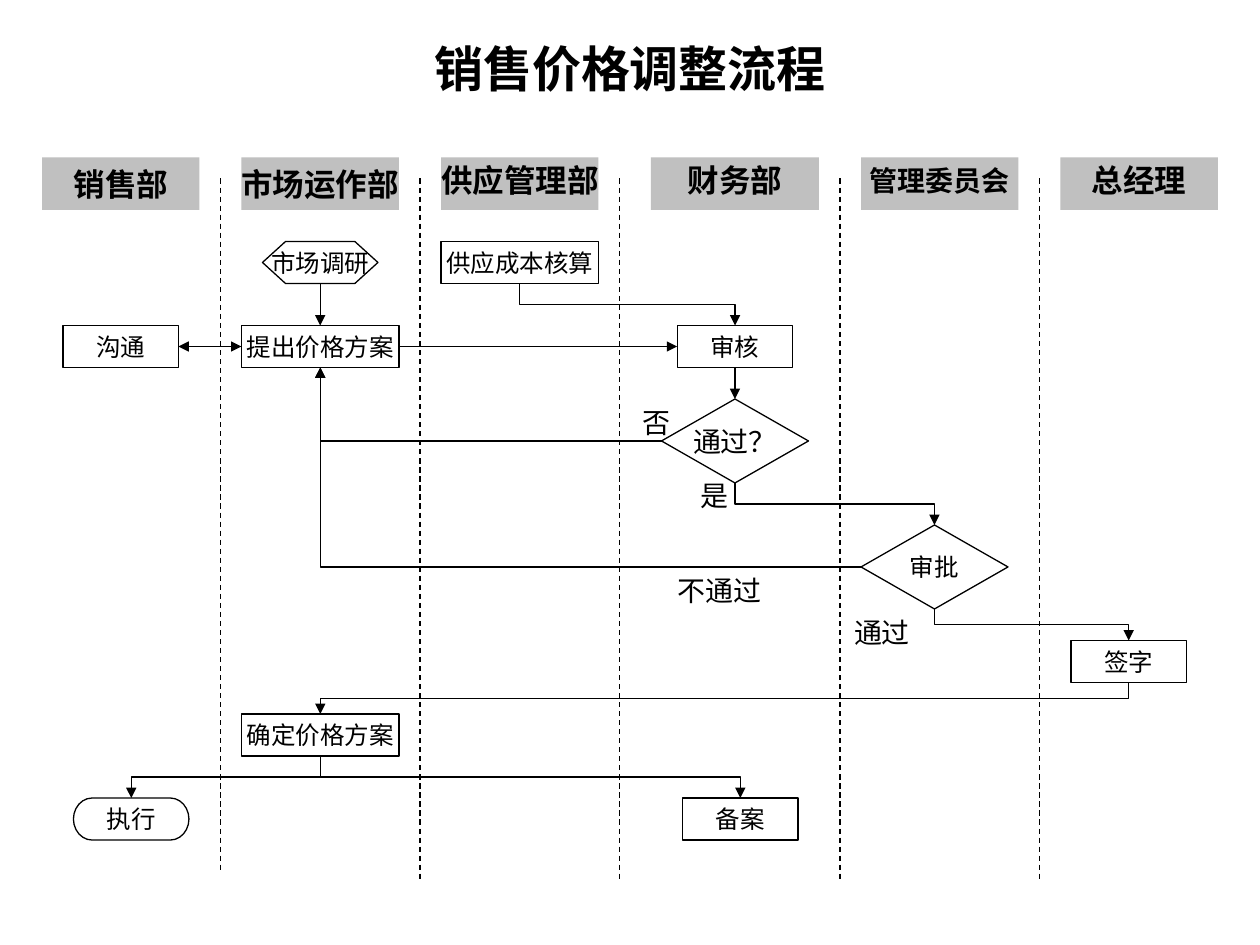
from dataclasses import dataclass

from lxml import etree
from pptx import Presentation
from pptx.dml.color import RGBColor
from pptx.enum.dml import MSO_LINE
from pptx.enum.shapes import MSO_CONNECTOR, MSO_SHAPE
from pptx.enum.text import MSO_ANCHOR, MSO_AUTO_SIZE, PP_ALIGN
from pptx.oxml.ns import qn
from pptx.util import Pt

RECTANGLE = MSO_SHAPE.RECTANGLE
DIAMOND = MSO_SHAPE.DIAMOND
PREPARATION = MSO_SHAPE.FLOWCHART_PREPARATION
TERMINATOR = MSO_SHAPE.FLOWCHART_TERMINATOR
STRAIGHT = MSO_CONNECTOR.STRAIGHT
ELBOW = MSO_CONNECTOR.ELBOW
DASH = MSO_LINE.DASH
MIDDLE = MSO_ANCHOR.MIDDLE
CENTER = PP_ALIGN.CENTER
FIT_SHAPE = MSO_AUTO_SIZE.SHAPE_TO_FIT_TEXT

COLORS = {"ink": "000000", "node": "FFFFFF", "header": "C0C0C0"}
FONT = "Times New Roman"
LINE_WIDTH = 0.75
HEADER_TOP, HEADER_HEIGHT = 90, 30
DIVIDER_TOP = 102


@dataclass(frozen=True)
class Header:
    text: str
    left: float
    width: float = 90
    size: float = 18
    spacing: float = 0.8


@dataclass(frozen=True)
class Node:
    text: str
    left: float
    top: float
    width: float = 66
    height: float = 24
    kind: MSO_SHAPE = RECTANGLE
    size: float = 14

    @property
    def right(self) -> float:
        return self.left + self.width

    @property
    def bottom(self) -> float:
        return self.top + self.height

    @property
    def center_x(self) -> float:
        return self.left + self.width / 2

    @property
    def center_y(self) -> float:
        return self.top + self.height / 2


@dataclass(frozen=True)
class Label:
    text: str
    left: float
    top: float
    width: float


HEADERS = [
    Header("销售部", 24, spacing=1),
    Header("市场运作部", 138, spacing=1),
    Header("供应管理部", 252),
    Header("财务部", 372, width=96),
    Header("管理委员会", 492, size=16),
    Header("总经理", 606),
]
DIVIDERS = {126: 498, 240: 504, 354: 504, 480: 504, 594: 504}

research = Node("市场调研", 150, 138, kind=PREPARATION)
costing = Node("供应成本核算", 252, 138, 90)
discuss = Node("沟通", 36, 186)
propose = Node("提出价格方案", 138, 186, 90)
review = Node("审核", 387, 186)
decision = Node("通过？", 378, 228, 84, 48, DIAMOND, 16)
approval = Node("审批", 492, 300, 84, 48, DIAMOND)
signature = Node("签字", 612, 366)
confirm = Node("确定价格方案", 138, 408, 90)
execute = Node("执行", 42, 456, kind=TERMINATOR)
archive = Node("备案", 390, 456)
NODES = [research, costing, discuss, propose, review, decision,
         approval, signature, confirm, execute, archive]

DROPS = [(research, propose), (costing, review), (review, decision),
         (decision, approval), (approval, signature), (signature, confirm),
         (confirm, execute), (confirm, archive)]
SIDE_LINKS = [(discuss, propose), (propose, review)]
RETURNS = [(decision, propose), (approval, propose)]
LABELS = [
    Label("否", 336, 228, 78),
    Label("是", 384, 270, 48),
    Label("通过", 480, 348, 48),
    Label("不通过", 372, 324, 78),
]


def color(name: str) -> RGBColor:
    return RGBColor.from_string(COLORS[name])


def write(shape, text: str, size: float, bold: bool = False, spacing: float = 1) -> None:
    frame = shape.text_frame
    frame.text = text
    para = frame.paragraphs[0]
    para.alignment = CENTER
    para.line_spacing = spacing
    for span in para.runs:
        span.font.name = FONT
        span.font.size = Pt(size)
        span.font.bold = bold
        span.font.color.rgb = color("ink")


def add_box(page, kind: MSO_SHAPE, left: float, top: float, width: float,
            height: float, fill: str, outlined: bool):
    box = page.shapes.add_shape(kind, Pt(left), Pt(top), Pt(width), Pt(height))
    box.shadow.inherit = False
    box.fill.solid()
    box.fill.fore_color.rgb = color(fill)
    if outlined:
        box.line.color.rgb = color("ink")
        box.line.width = Pt(LINE_WIDTH)
    else:
        box.line.fill.background()
    box.text_frame.word_wrap = False
    box.text_frame.vertical_anchor = MIDDLE
    return box


def add_text(page, label: Label, height: float, size: float, bold: bool = False):
    box = page.shapes.add_textbox(Pt(label.left), Pt(label.top), Pt(label.width), Pt(height))
    box.text_frame.word_wrap = True
    write(box, label.text, size, bold)
    return box


def add_line(page, kind: MSO_CONNECTOR, x1: float, y1: float, x2: float, y2: float,
             arrows: tuple[str, ...] = ()):
    line = page.shapes.add_connector(kind, Pt(x1), Pt(y1), Pt(x2), Pt(y2))
    line.line.color.rgb = color("ink")
    line.line.width = Pt(LINE_WIDTH)
    properties = line._element.spPr
    for end in arrows:
        etree.SubElement(properties.find(qn("a:ln")), qn(f"a:{end}"), type="triangle")
    etree.SubElement(properties, qn("a:effectLst"))
    return line


def add_drop(page, source: Node, target: Node) -> None:
    x1, y1, x2, y2 = source.center_x, source.bottom, target.center_x, target.top
    if x1 == x2:
        add_line(page, STRAIGHT, x1, y1, x2, y2, ("tailEnd",))
        return
    middle_x, middle_y = (x1 + x2) / 2, (y1 + y2) / 2
    half_run, half_fall = abs(x2 - x1) / 2, (y2 - y1) / 2
    line = add_line(page, ELBOW, middle_x - half_fall, middle_y - half_run,
                    middle_x + half_fall, middle_y + half_run, ("tailEnd",))
    transform = line._element.spPr.find(qn("a:xfrm"))
    if x2 > x1:
        transform.set("rot", "16200000")
        transform.set("flipH", "1")
    else:
        transform.set("rot", "5400000")


def add_return(page, source: Node, target: Node) -> None:
    line = add_line(page, ELBOW, target.center_x, target.bottom,
                    source.left, source.center_y, ("tailEnd",))
    properties = line._element.spPr
    properties.find(qn("a:xfrm")).set("rot", "10800000")
    properties.find(qn("a:prstGeom")).set("prst", "bentConnector2")


def main() -> None:
    deck = Presentation()
    deck.slide_width, deck.slide_height = Pt(720), Pt(540)
    page = deck.slides.add_slide(deck.slide_layouts[6])

    title = add_text(page, Label("销售价格调整流程", 54, 18, 612), 42, 28, True)
    title.text_frame.vertical_anchor = MIDDLE

    for header in HEADERS:
        box = add_box(page, RECTANGLE, header.left, HEADER_TOP, header.width,
                      HEADER_HEIGHT, "header", False)
        write(box, header.text, header.size, True, header.spacing)
    for x, bottom in DIVIDERS.items():
        add_line(page, STRAIGHT, x, DIVIDER_TOP, x, bottom).line.dash_style = DASH

    for source, target in DROPS:
        add_drop(page, source, target)
    for source, target in SIDE_LINKS:
        arrows = ("headEnd", "tailEnd") if source is discuss else ("tailEnd",)
        add_line(page, STRAIGHT, source.right, source.center_y,
                 target.left, target.center_y, arrows)
    for source, target in RETURNS:
        add_return(page, source, target)

    for node in NODES:
        box = add_box(page, node.kind, node.left, node.top, node.width,
                      node.height, "node", True)
        write(box, node.text, node.size)
    for label in LABELS:
        add_text(page, label, 26.5, 16).text_frame.auto_size = FIT_SHAPE

    deck.save("out.pptx")


if __name__ == "__main__":
    main()
